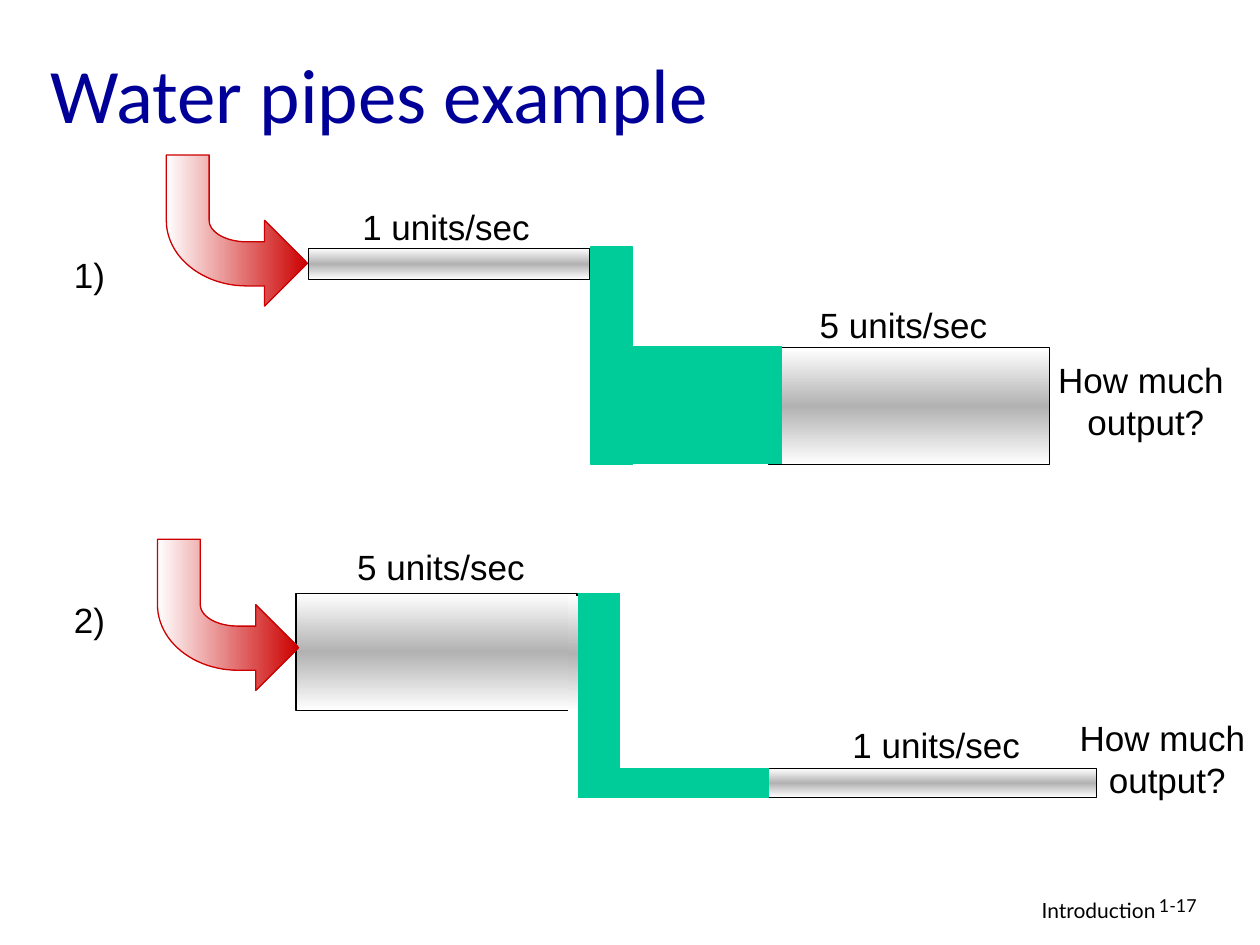
from copy import deepcopy
from math import cos, pi, sin

from lxml import etree
from pptx import Presentation, util as u
from pptx.dml.color import RGBColor
from pptx.enum import shapes, text

THEME = dict(
    ink="000000", title="000099", water="00CC99", arrow="CC0000",
    light="FFFFFF", metal="B2B2B2", line=0.75,
    head="Calibri", body="Arial", foot="Lato",
    title_pt=44, body_pt=20, foot_pt=12, page_pt=10.2,
)

prs = Presentation()
prs.slide_width, prs.slide_height = u.Inches(10), u.Inches(7.5)
s = prs.slides.add_slide(prs.slide_layouts[6])

# Grid of square cells: 100 columns by 75 rows
COL, ROW = prs.slide_width / 100, prs.slide_height / 75
ALIGN, ANCHOR = text.PP_ALIGN, text.MSO_ANCHOR


def write(words, x, y, w, h, size=THEME["body_pt"], font=THEME["body"],
          color=THEME["ink"], align=ALIGN.CENTER, anchor=ANCHOR.TOP,
          indent=0, spacing=None):
    tb = s.shapes.add_textbox(int(x * COL), int(y * ROW), int(w * COL), int(h * ROW))
    tf = tb.text_frame
    tf.word_wrap, tf.vertical_anchor = True, anchor
    tf.margin_left = int((1 + indent) * COL)
    for i, line in enumerate(words.split("\n")):
        p = tf.paragraphs[0] if i == 0 else tf.add_paragraph()
        p.alignment, p.line_spacing = align, spacing
        r = p.add_run()
        r.text = line
        r.font.size, r.font.name = u.Pt(size), font
        r.font.color.rgb = RGBColor.from_string(color)


def paint(sp, colors, line, angle=0):
    sp.shadow.inherit = False
    if len(colors) == 1:
        sp.fill.solid()
        sp.fill.fore_color.rgb = RGBColor.from_string(colors[0])
    else:
        sp.fill.gradient()
        sp.fill.gradient_angle = angle
        stops = next(sp._element.spPr.iter("{*}gsLst"))
        for _ in colors[2:]:
            stops.append(deepcopy(stops[0]))
        for i, (stop, color) in enumerate(zip(sp.fill.gradient_stops, colors)):
            stop.position = i / (len(colors) - 1)
            stop.color.rgb = RGBColor.from_string(color)
    if line:
        sp.line.color.rgb = RGBColor.from_string(line)
        sp.line.width = u.Pt(THEME["line"])
    else:
        sp.line.fill.background()


# Pipes, then the water joints that overlap them
steel = [THEME["light"], THEME["metal"], THEME["light"]]
water = [THEME["water"]]
for x, y, w, h, colors, line in [
    (24.5, 19.7, 22.3, 2.5, steel, THEME["ink"]),
    (61, 27.6, 22.3, 9.3, steel, THEME["ink"]),
    (23.5, 47.1, 22.3, 9.3, steel, THEME["ink"]),
    (45.1, 47.3, 0.8, 9.1, steel, None),
    (60.1, 61, 26.9, 2.3, steel, THEME["ink"]),
    (46.9, 19.6, 3.3, 17.3, water, THEME["water"]),
    (50.2, 27.5, 11.8, 9.3, water, THEME["water"]),
    (45.9, 47.1, 3.3, 16.2, water, THEME["water"]),
    (49.2, 61, 11.8, 2.3, water, THEME["water"]),
]:
    sp = s.shapes.add_shape(shapes.MSO_SHAPE.RECTANGLE,
                            int(x * COL), int(y * ROW), int(w * COL), int(h * ROW))
    paint(sp, colors, line, 90)

# Inflow arrows: a bend between two quarter ellipses, then the head
turn = [pi / 2 * i / 24 for i in range(25)]
inner = [(6.4 - 3 * cos(t), 5.2 + 1.7 * sin(t)) for t in turn]
outer = [(6.4 - 6.4 * cos(t), 5.2 + 5.2 * sin(t)) for t in reversed(turn)]
head = [(7.8, 6.9), (7.8, 5.2), (11.2, 8.6), (7.8, 12), (7.8, 10.4)]
outline = [(0, 0), (3.4, 0)] + inner + head + outer
for x, y in [(13.2, 12.3), (12.5, 42.8)]:
    points = [((x + dx) * COL, (y + dy) * ROW) for dx, dy in outline]
    fb = s.shapes.build_freeform(*points[0])
    fb.add_line_segments(points[1:], close=True)
    paint(fb.convert_to_shape(), [THEME["light"], THEME["arrow"]], THEME["arrow"])

# Title
write("Water pipes example", 3, 1.1, 85, 12.5, size=THEME["title_pt"],
      font=THEME["head"], color=THEME["title"], align=ALIGN.LEFT, anchor=ANCHOR.MIDDLE)

# Case numbers, pipe rates and questions
for words, x, y in [("1)", 4.3, 19.6), ("2)", 4.3, 47)]:
    write(words, x, y, 5.6, 4.4)
for words, x, y in [("1 units/sec", 20.5, 15.8), ("5 units/sec", 56.8, 23.6),
                    ("5 units/sec", 20.1, 42.8), ("1 units/sec", 59.4, 56.9)]:
    write(words, x, y, 28.3, 4.4, indent=1.5)
for x, y in [(76.8, 28), (78.5, 56.4)]:
    write("How much \noutput?", x, y, 28.3, 7.7)

# Footer
write("Introduction", 61, 70.7, 31.7, 3.1, size=THEME["foot_pt"],
      font=THEME["foot"], align=ALIGN.RIGHT)
write("1-17", 91, 70.7, 7.4, 3, size=THEME["page_pt"], font=THEME["foot"],
      align=ALIGN.LEFT, spacing=0.9)

prs.save("out.pptx")
